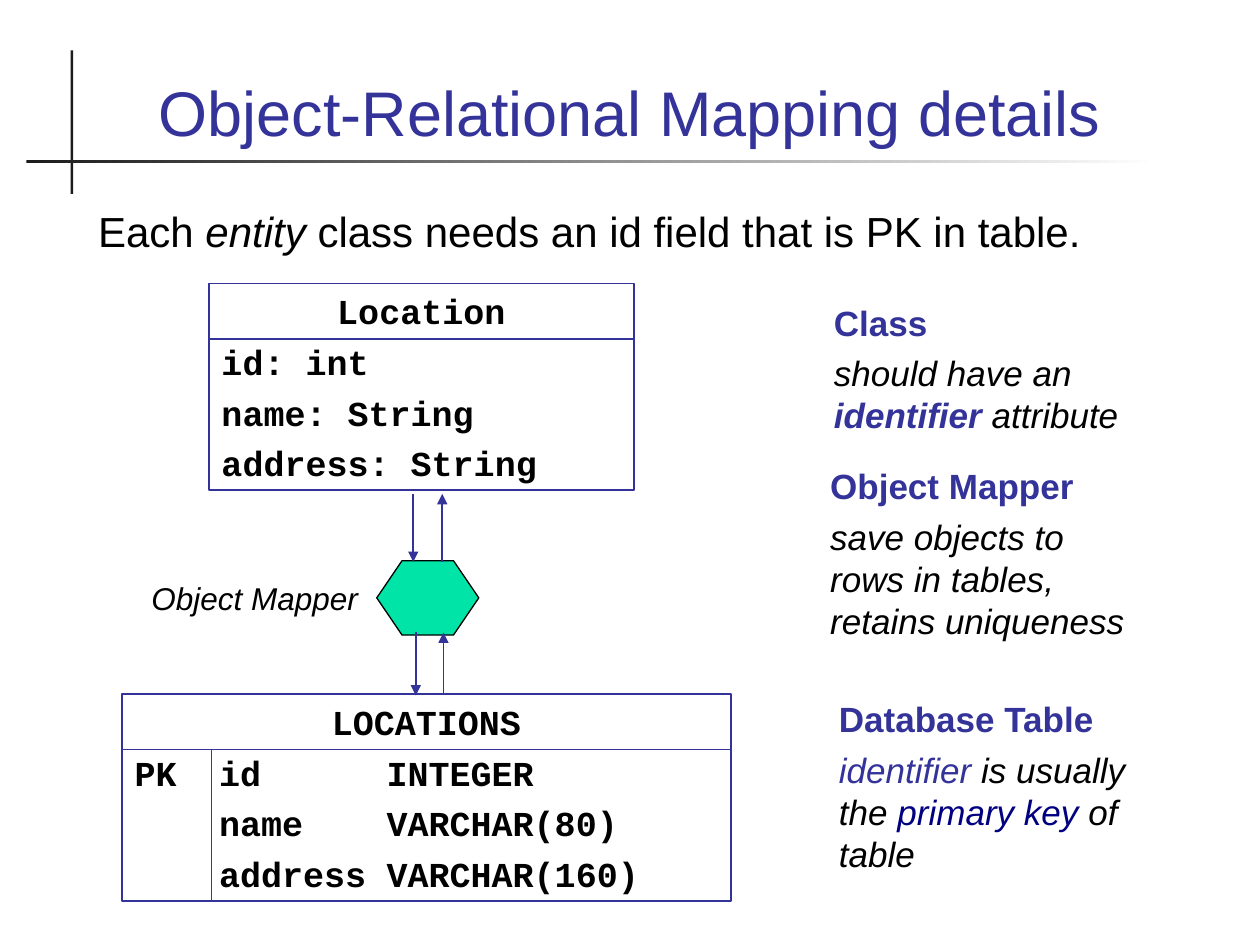
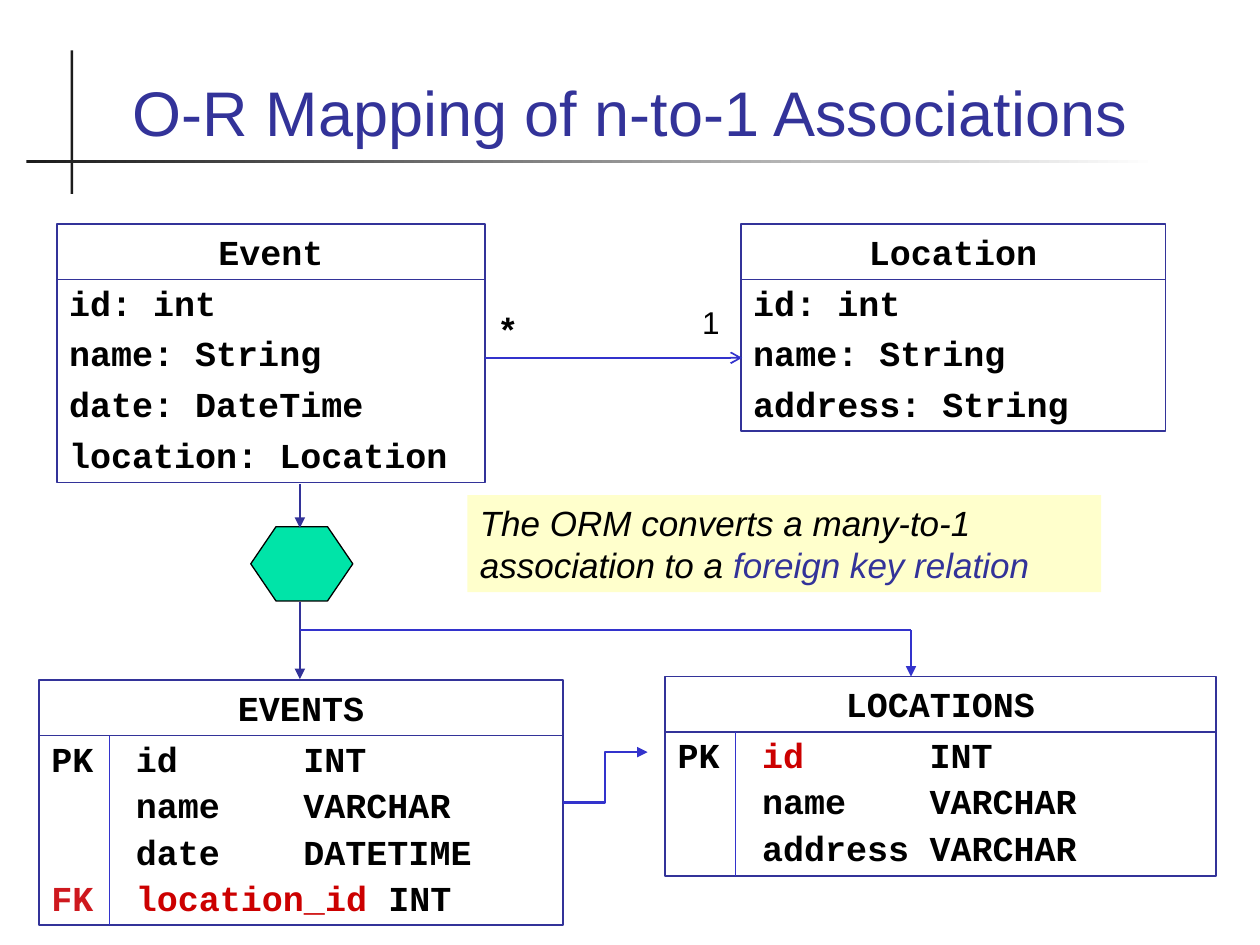
"""Build two slides that explain object-relational mapping."""
from dataclasses import dataclass
from typing import Any, Optional

from lxml.etree import SubElement
from pptx import Presentation
from pptx.dml.color import RGBColor
from pptx.enum.shapes import MSO_CONNECTOR, MSO_SHAPE
from pptx.enum.text import MSO_ANCHOR, PP_ALIGN
from pptx.oxml.ns import qn
from pptx.slide import Slide
from pptx.util import Inches, Pt


@dataclass(frozen=True)
class Theme:
    """Colours, fonts and type sizes of the deck."""
    navy: str = "333399"
    blue: str = "3333CC"
    deep_blue: str = "000080"
    ink: str = "000000"
    charcoal: str = "1C1C1C"
    white: str = "FFFFFF"
    green: str = "00E4A8"
    cream: str = "FFFFCC"
    red: str = "CC0000"
    key_red: str = "CE181E"
    sans: str = "Arial"
    mono: str = "Courier New"
    title_size: float = 36
    lead_size: float = 24
    body_size: float = 20
    label_size: float = 18
    leading: float = 1.2
    gap: float = 5
    tight_gap: float = 2.5
    header_height: float = 0.44


THEME = Theme()
COLUMN_TABS = (0.67, 2.0)


@dataclass(frozen=True)
class Span:
    """A piece of text in one format."""
    text: str
    color: str = THEME.ink
    bold: bool = False
    italic: bool = False
    size: float = THEME.body_size
    font: str = THEME.sans


@dataclass(frozen=True)
class Para:
    """A paragraph with its alignment, gap and tab stops."""
    spans: tuple[Span, ...]
    align: Any = PP_ALIGN.LEFT
    before: float = THEME.gap
    tabs: tuple[float, ...] = ()


@dataclass(frozen=True)
class Box:
    """A block of text with an optional fill and outline."""
    left: float
    top: float
    width: float
    height: float
    paras: tuple[Para, ...]
    fill: Optional[str] = None
    outline: Optional[str] = None


@dataclass(frozen=True)
class Link:
    """A line or arrow between two points."""
    start: tuple[float, float]
    end: tuple[float, float]
    color: str = THEME.navy
    weight: float = 1
    arrow: Optional[str] = None
    kind: Any = MSO_CONNECTOR.STRAIGHT


@dataclass(frozen=True)
class Entity:
    """A class or a database table with a header row."""
    left: float
    top: float
    width: float
    height: float
    name: str
    rows: tuple[tuple[Span, ...], ...]
    row_gap: float = THEME.gap
    key_width: Optional[float] = None


def code(text: str, color: str = THEME.ink) -> Span:
    """Return a bold monospaced span."""
    return Span(text, color, bold=True, font=THEME.mono)


def code_rows(*lines: str) -> tuple[tuple[Span, ...], ...]:
    """Return one single-span row for each line."""
    return tuple((code(line),) for line in lines)


def apply(target: Any, values: dict[str, Any]) -> None:
    """Set each named attribute on the target."""
    for name, value in values.items():
        setattr(target, name, value)


def write_span(para: Any, item: Span) -> None:
    """Add a formatted run to a paragraph."""
    span = para.add_run()
    span.text = item.text
    apply(span.font, {"name": item.font, "size": Pt(item.size),
                      "bold": item.bold, "italic": item.italic})
    span.font.color.rgb = RGBColor.from_string(item.color)


def paint(shape: Any, fill: Optional[str], outline: Optional[str], weight: float = 1) -> None:
    """Set the fill and outline of a shape."""
    shape.shadow.inherit = False
    if fill:
        shape.fill.solid()
        shape.fill.fore_color.rgb = RGBColor.from_string(fill)
    else:
        shape.fill.background()
    if outline:
        shape.line.color.rgb = RGBColor.from_string(outline)
        shape.line.width = Pt(weight)
    else:
        shape.line.fill.background()


def draw_box(page: Slide, item: Box) -> None:
    """Draw a text block."""
    place = [Inches(v) for v in (item.left, item.top, item.width, item.height)]
    if item.fill or item.outline:
        box = page.shapes.add_shape(MSO_SHAPE.RECTANGLE, *place)
        paint(box, item.fill, item.outline)
    else:
        box = page.shapes.add_textbox(*place)
    frame = box.text_frame
    apply(frame, {"word_wrap": True, "vertical_anchor": MSO_ANCHOR.TOP})
    for index, content in enumerate(item.paras):
        para = frame.add_paragraph() if index else frame.paragraphs[0]
        size = content.spans[0].size
        apply(para, {"alignment": content.align,
                     "line_spacing": Pt(size * THEME.leading),
                     "space_before": Pt(content.before if index else 0)})
        if content.tabs:
            stops = SubElement(para._p.get_or_add_pPr(), qn("a:tabLst"))
            for stop in content.tabs:
                SubElement(stops, qn("a:tab"), pos=str(Inches(stop)), algn="l")
        for span in content.spans:
            write_span(para, span)


def draw_link(page: Slide, item: Link) -> None:
    """Draw a connector, with an arrowhead at its end if it has one."""
    points = [Inches(v) for v in (*item.start, *item.end)]
    link = page.shapes.add_connector(item.kind, *points)
    link.line.color.rgb = RGBColor.from_string(item.color)
    link.line.width = Pt(item.weight)
    properties = link._element.spPr
    if item.arrow:
        SubElement(properties.find(qn("a:ln")), qn("a:tailEnd"), type=item.arrow)
    SubElement(properties, qn("a:effectLst"))


def draw_entity(page: Slide, item: Entity) -> None:
    """Draw a class or table box with its header rule and key divider."""
    is_table = item.key_width is not None
    tabs = COLUMN_TABS if is_table else ()
    header = Para((code(item.name),), PP_ALIGN.CENTER)
    rows = tuple(Para(spans, before=item.row_gap if index else THEME.gap, tabs=tabs)
                 for index, spans in enumerate(item.rows))
    draw_box(page, Box(item.left, item.top, item.width, item.height,
                       (header, *rows), outline=THEME.navy))
    rule = item.top + THEME.header_height
    draw_link(page, Link((item.left, rule), (item.left + item.width, rule), weight=0.75))
    if is_table:
        divider = item.left + item.key_width
        draw_link(page, Link((divider, rule), (divider, item.top + item.height),
                             THEME.blue, 0.75))


def draw_mapper(page: Slide, left: float, top: float) -> None:
    """Draw the hexagon that stands for the object mapper."""
    mapper = page.shapes.add_shape(MSO_SHAPE.HEXAGON, Inches(left), Inches(top),
                                   Inches(0.81), Inches(0.59))
    mapper.adjustments[0] = 0.34
    paint(mapper, THEME.green, THEME.ink, 0.75)


def add_page(deck: Any, title: str) -> Slide:
    """Add a slide with the crossed bars and a title."""
    page = deck.slides.add_slide(deck.slide_layouts[5])
    for place in ((0.56, 0.4, 0.02, 1.14), (0.21, 1.27, 8.98, 0.02)):
        bar = page.shapes.add_shape(MSO_SHAPE.RECTANGLE, *(Inches(v) for v in place))
        paint(bar, THEME.charcoal, None)
    bar.fill.gradient()
    bar.fill.gradient_angle = 0
    for stop, color in zip(bar.fill.gradient_stops, (THEME.charcoal, THEME.white)):
        stop.color.rgb = RGBColor.from_string(color)
    heading = page.shapes.title
    apply(heading, {"left": Inches(0.67), "top": Inches(0.28),
                    "width": Inches(8.66), "height": Inches(0.95)})
    apply(heading.text_frame, {"vertical_anchor": MSO_ANCHOR.BOTTOM, "word_wrap": True})
    para = heading.text_frame.paragraphs[0]
    para.alignment = PP_ALIGN.CENTER
    write_span(para, Span(title, THEME.navy, size=THEME.title_size))
    return page


def draw_note(page: Slide, left: float, top: float, height: float,
              heading: str, *body: Span) -> None:
    """Draw a side note with a bold heading."""
    draw_box(page, Box(left, top, 2.68, height,
                       (Para((Span(heading, THEME.navy, bold=True),)), Para(body))))


def draw_location_class(page: Slide, left: float, top: float) -> None:
    """Draw the Location class, which both slides show."""
    draw_entity(page, Entity(left, top, 3.37, 1.64, "Location",
                             code_rows("id: int", "name: String", "address: String")))


def build_details(deck: Any) -> None:
    """Build the slide on mapping one class to one table."""
    page = add_page(deck, "Object-Relational Mapping details")
    size = THEME.lead_size
    draw_box(page, Box(0.68, 1.58, 8.65, 0.68, (Para((
        Span("Each ", size=size), Span("entity", italic=True, size=size),
        Span(" class needs an id field that is PK in table.", size=size))),)))
    draw_entity(page, Entity(0.97, 5.51, 4.83, 1.64, "LOCATIONS", code_rows(
        "PK\tid\tINTEGER", "\tname\tVARCHAR(80)", "\taddress\tVARCHAR(160)"),
        key_width=0.71))
    draw_location_class(page, 1.66, 2.25)
    draw_note(page, 6.52, 2.34, 1.17, "Class", Span("should have an ", italic=True),
              Span("identifier", THEME.navy, bold=True, italic=True),
              Span(" attribute", italic=True))
    draw_note(page, 6.49, 3.64, 1.51, "Object Mapper",
              Span("save objects to rows in tables, retains uniqueness", italic=True))
    draw_note(page, 6.56, 5.49, 1.51, "Database Table",
              Span("identifier", THEME.navy, italic=True),
              Span(" is usually the ", italic=True),
              Span("primary key", THEME.deep_blue, italic=True),
              Span(" of table", italic=True))
    draw_mapper(page, 2.99, 4.45)
    draw_box(page, Box(0.65, 4.55, 2.29, 0.4, (Para(
        (Span("Object Mapper", italic=True, size=THEME.label_size),), PP_ALIGN.RIGHT),)))
    for down, up, top, bottom in ((3.28, 3.51, 3.92, 4.46), (3.3, 3.52, 5.02, 5.52)):
        draw_link(page, Link((down, top), (down, bottom), arrow="triangle"))
        draw_link(page, Link((up, bottom), (up, top), arrow="triangle"))


def build_associations(deck: Any) -> None:
    """Build the slide on mapping an association to a foreign key."""
    page = add_page(deck, "O-R Mapping of n-to-1 Associations")
    draw_entity(page, Entity(0.45, 1.78, 3.4, 2.05, "Event", code_rows(
        "id: int", "name: String", "date: DateTime", "location: Location")))
    draw_location_class(page, 5.88, 1.78)
    draw_entity(page, Entity(5.28, 5.37, 4.37, 1.58, "LOCATIONS", (
        (code("PK\t"), code("id\t", THEME.red), code("INT")),
        *code_rows("\tname\tVARCHAR", "\taddress\tVARCHAR")), THEME.tight_gap, 0.56))
    draw_entity(page, Entity(0.31, 5.4, 4.16, 1.94, "EVENTS", (
        *code_rows("PK\tid\tINT", "\tname\tVARCHAR", "\tdate\tDATETIME"),
        (code("FK\t", THEME.key_red), code("location_id", THEME.red), code(" INT"))),
        THEME.tight_gap, 0.56))
    draw_mapper(page, 1.99, 4.18)
    for link in (
        Link((2.38, 3.84), (2.38, 4.19), arrow="triangle"),
        Link((2.38, 4.78), (2.38, 5.39), arrow="triangle"),
        Link((3.85, 2.84), (5.89, 2.84), THEME.blue, arrow="arrow"),
        Link((4.47, 6.37), (5.14, 5.97), THEME.blue, 1.25, "triangle", MSO_CONNECTOR.ELBOW),
        Link((2.38, 5), (7.23, 5), THEME.blue, 0.75),
        Link((7.23, 5), (7.23, 5.37), THEME.blue, 0.75, "triangle"),
    ):
        draw_link(page, link)
    draw_box(page, Box(3.71, 3.93, 5.03, 0.77, (Para((
        Span("The ORM converts a many-to-1 association to a ", italic=True),
        Span("foreign key relation", THEME.navy, italic=True))),), fill=THEME.cream))
    draw_box(page, Box(5.37, 2.36, 0.44, 0.4, (Para(
        (Span("1", size=THEME.label_size),), PP_ALIGN.RIGHT),)))
    draw_box(page, Box(3.85, 2.4, 0.44, 0.44, (Para((code("*"),)),)))


def main() -> None:
    """Build and save the deck."""
    deck = Presentation()
    apply(deck, {"slide_width": Inches(10), "slide_height": Inches(7.5)})
    build_details(deck)
    build_associations(deck)
    deck.save("out.pptx")


if __name__ == "__main__":
    main()
